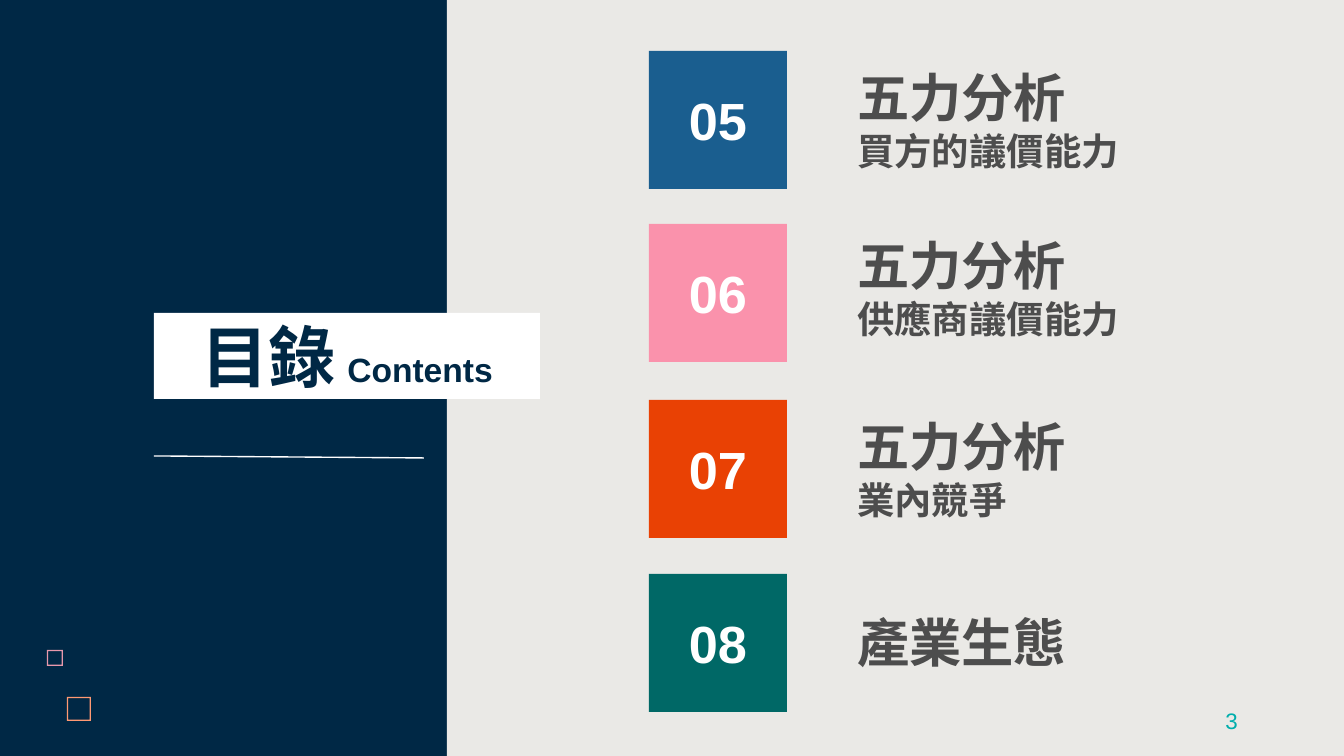
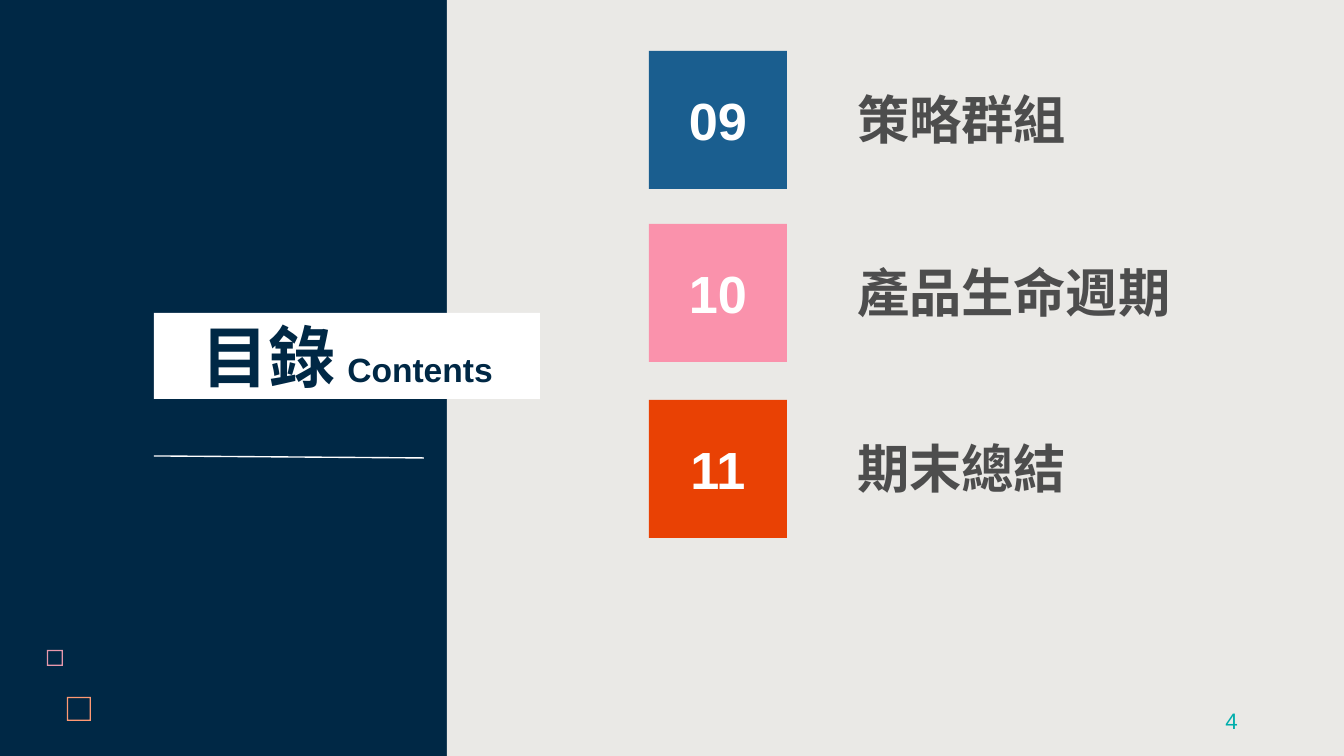
from dataclasses import dataclass

from lxml.etree import SubElement
from pptx import Presentation
from pptx.dml.color import RGBColor
from pptx.enum.shapes import MSO_CONNECTOR, MSO_SHAPE
from pptx.enum.text import MSO_ANCHOR, MSO_AUTO_SIZE, PP_ALIGN
from pptx.oxml.ns import qn
from pptx.shapes.autoshape import Shape
from pptx.slide import Slide
from pptx.text.text import _Paragraph
from pptx.util import Emu, Pt

PX_PER_INCH = 134.4


@dataclass(frozen=True)
class Theme:
    navy: str = "002845"
    panel: str = "EAE9E6"
    white: str = "FFFFFF"
    text: str = "4D4D4D"
    number: str = "00AEAC"
    tiles: tuple[str, ...] = ("1A5E8F", "FA92AC", "E94104", "006866")
    latin: str = "Arial"
    cjk: str = "Noto Sans CJK SC"
    title_size: int = 36
    heading_size: int = 28
    detail_size: int = 20
    subtitle_size: int = 18
    number_size: int = 12


@dataclass(frozen=True)
class Frame:
    left: int
    top: int
    side: int
    color: str


@dataclass(frozen=True)
class Entry:
    heading: str
    detail: str = ""
    shift: int = 0  # label offset from the tile's centre line


@dataclass(frozen=True)
class ContentsPage:
    number: int
    first_entry: int
    entries: tuple[Entry, ...]


THEME = Theme()
FRAMES = (Frame(47, 650, 16, "E898AC"), Frame(67, 697, 24, "FF9973"))
TILE_LEFT, TILE_SIDE = 649, 138
TILE_TOPS = (51, 224, 400, 574)
LABEL_LEFT, LABEL_WIDTH = 844, 392
HEADING_HEIGHT, DETAIL_HEIGHT = 77, 45

PAGES = (
    ContentsPage(3, 5, (
        Entry("五力分析", "買方的議價能力"),
        Entry("五力分析", "供應商議價能力", shift=-5),
        Entry("五力分析", "業內競爭"),
        Entry("產業生態"),
    )),
    ContentsPage(4, 9, (
        Entry("策略群組"),
        Entry("產品生命週期"),
        Entry("期末總結"),
    )),
)


def px(*lengths: int) -> list[Emu]:
    return [Emu(round(n * 914400 / PX_PER_INCH)) for n in lengths]


def rgb(color: str) -> RGBColor:
    return RGBColor.from_string(color)


def style(p: _Paragraph, color: str, size: int, bold: bool = True,
          name: str = THEME.latin) -> None:
    font = p.font
    font.name, font.size, font.bold = name, Pt(size), bold
    font.color.rgb = rgb(color)


def set_cjk_font(sp: Shape) -> None:
    """Use the theme's CJK font for East Asian text in the shape."""
    for latin in list(sp.element.iter(qn("a:latin"))):
        ea = SubElement(latin.getparent(), qn("a:ea"), typeface=THEME.cjk)
        latin.addnext(ea)


def add_block(slide: Slide, left: int, top: int, width: int, height: int,
              color: str, kind: MSO_SHAPE = MSO_SHAPE.RECTANGLE) -> Shape:
    sp = slide.shapes.add_shape(kind, *px(left, top, width, height))
    sp.shadow.inherit = False
    sp.fill.solid()
    sp.fill.fore_color.rgb = rgb(color)
    sp.line.fill.background()
    return sp


def add_text(slide: Slide, left: int, top: int, width: int, height: int) -> Shape:
    sp = slide.shapes.add_textbox(*px(left, top, width, height))
    sp.text_frame.word_wrap = True
    return sp


def add_frame(slide: Slide, frame: Frame) -> None:
    sp = add_block(slide, frame.left, frame.top, frame.side, frame.side,
                   frame.color, MSO_SHAPE.FRAME)
    sp.adjustments[0] = 1.2 / frame.side


def add_title(slide: Slide) -> None:
    sp = slide.shapes.title
    sp.element.getparent().append(sp.element)  # in front of the panel
    sp.left, sp.top, sp.width, sp.height = px(154, 313, 386, 86)
    sp.fill.solid()
    sp.fill.fore_color.rgb = rgb(THEME.white)
    tf = sp.text_frame
    tf.auto_size = MSO_AUTO_SIZE.NONE
    tf.vertical_anchor = MSO_ANCHOR.MIDDLE
    p = tf.paragraphs[0]
    p.alignment = PP_ALIGN.CENTER
    style(p, THEME.navy, THEME.title_size)
    for text, size in (("目錄", THEME.title_size), (" ", THEME.heading_size),
                       ("Contents", THEME.subtitle_size)):
        r = p.add_run()
        r.text = text
        r.font.size = Pt(size)
    set_cjk_font(sp)


def add_rule(slide: Slide) -> None:
    line = slide.shapes.add_connector(MSO_CONNECTOR.STRAIGHT,
                                      *px(154, 456, 424, 458))
    line.line.color.rgb = rgb(THEME.white)
    line.line.width = Pt(0.75)
    SubElement(line.element.spPr, qn("a:effectLst"))


def add_page_number(slide: Slide, number: int) -> None:
    tf = add_text(slide, 949, 700, 302, 41).text_frame
    tf.vertical_anchor = MSO_ANCHOR.MIDDLE
    p = tf.paragraphs[0]
    p.text = str(number)
    p.alignment = PP_ALIGN.RIGHT
    style(p, THEME.number, THEME.number_size, bold=False)


def add_tile(slide: Slide, top: int, number: int, color: str) -> None:
    sp = add_block(slide, TILE_LEFT, top, TILE_SIDE, TILE_SIDE, color)
    tf = sp.text_frame
    tf.vertical_anchor = MSO_ANCHOR.MIDDLE
    p = tf.paragraphs[0]
    p.text = f"{number:02d}"
    p.alignment = PP_ALIGN.CENTER
    style(p, THEME.white, THEME.heading_size)


def add_label(slide: Slide, tile_top: int, entry: Entry) -> None:
    height = HEADING_HEIGHT + (DETAIL_HEIGHT if entry.detail else 0)
    top = tile_top + (TILE_SIDE - height) // 2 + entry.shift
    sp = add_text(slide, LABEL_LEFT, top, LABEL_WIDTH, height)
    tf = sp.text_frame
    tf.auto_size = MSO_AUTO_SIZE.SHAPE_TO_FIT_TEXT
    p = tf.paragraphs[0]
    p.text = entry.heading
    style(p, THEME.text, THEME.heading_size, name=THEME.cjk)
    if entry.detail:
        p = tf.add_paragraph()
        p.text = entry.detail
        style(p, THEME.text, THEME.detail_size, name=THEME.cjk)
    set_cjk_font(sp)


def add_page(prs: Presentation, page: ContentsPage) -> None:
    slide = prs.slides.add_slide(prs.slide_layouts.get_by_name("Title Only"))
    for frame in FRAMES:
        add_frame(slide, frame)
    add_block(slide, 447, 0, 897, 756, THEME.panel)
    add_page_number(slide, page.number)
    add_title(slide)
    add_rule(slide)
    rows = zip(TILE_TOPS, THEME.tiles, page.entries)
    for number, (top, color, entry) in enumerate(rows, page.first_entry):
        add_tile(slide, top, number, color)
        add_label(slide, top, entry)


def main() -> None:
    prs = Presentation()
    prs.slide_width, prs.slide_height = px(1344, 756)
    fill = prs.slide_master.background.fill
    fill.solid()
    fill.fore_color.rgb = rgb(THEME.navy)
    for page in PAGES:
        add_page(prs, page)
    prs.save("out.pptx")


if __name__ == "__main__":
    main()
